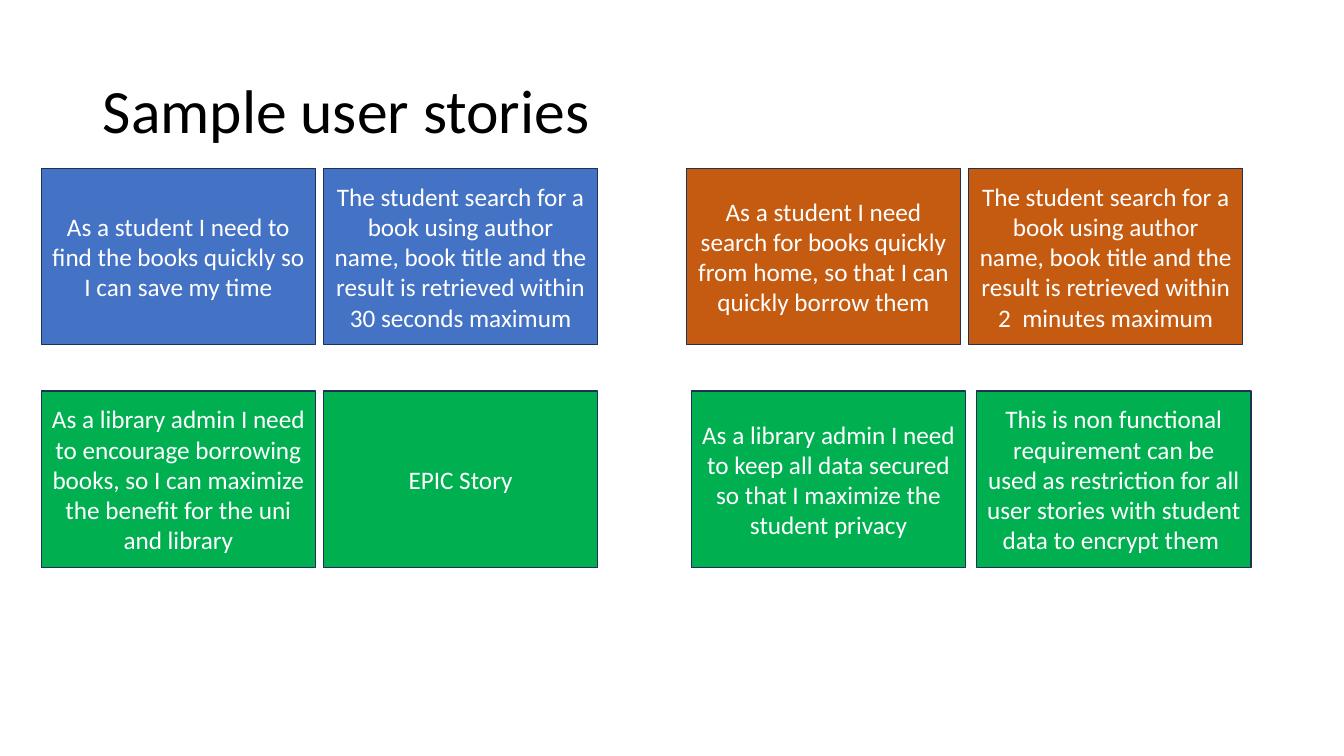
import pptx
import pptx.dml.color
import pptx.enum.shapes
import pptx.enum.text
import pptx.util

Pt = pptx.util.Pt
ALIGN = pptx.enum.text.PP_ALIGN

CARD_W, CARD_H = 195.8, 126
BLUE, ORANGE, GREEN = "4472C4", "C55A11", "00B050"

# Each pair: left, top, step to the second card, fill, story, note
PAIRS = [
    (29.5, 120.2, 201.6, BLUE,
     "As a student I need to find the books quickly so I can save my time",
     "The student search for a book using author name, book title and the "
     "result is retrieved within 30 seconds maximum"),
    (490.3, 120.2, 201.6, ORANGE,
     "As a student I need search for books quickly from home, so that I can "
     "quickly borrow them",
     "The student search for a book using author name, book title and the "
     "result is retrieved within 2  minutes maximum"),
    (29.5, 279.4, 201.6, GREEN,
     "As a library admin I need to encourage borrowing books, so I can "
     "maximize the benefit for the uni and library",
     "EPIC Story"),
    (493.9, 279.4, 203.8, GREEN,
     "As a library admin I need to keep all data secured so that I maximize "
     "the student privacy",
     "This is non functional requirement can be used as restriction for all "
     "user stories with student data to encrypt them "),
]


def rgb(color):
    return pptx.dml.color.RGBColor.from_string(color)


def write(sp, text, size=18, color="FFFFFF", align=ALIGN.CENTER, spacing=1.0):
    tf = sp.text_frame
    tf.word_wrap = True
    tf.auto_size = pptx.enum.text.MSO_AUTO_SIZE.NONE
    tf.vertical_anchor = pptx.enum.text.MSO_ANCHOR.MIDDLE
    p = tf.paragraphs[0]
    p.alignment = align
    p.line_spacing = spacing
    r = p.add_run()
    r.text = text
    r.font.name = "Calibri"
    r.font.size = Pt(size)
    r.font.color.rgb = rgb(color)


def add_title(s, text):
    sp = s.shapes.title
    sp.left, sp.top, sp.width, sp.height = Pt(66.2), Pt(28.8), Pt(828), Pt(104.4)
    write(sp, text, size=44, color="000000", align=ALIGN.LEFT, spacing=0.9)


def add_card(s, left, top, fill, text):
    sp = s.shapes.add_shape(pptx.enum.shapes.MSO_SHAPE.RECTANGLE,
                            Pt(left), Pt(top), Pt(CARD_W), Pt(CARD_H))
    sp.shadow.inherit = False
    sp.fill.solid()
    sp.fill.fore_color.rgb = rgb(fill)
    sp.line.color.rgb = rgb("1E3256")
    sp.line.width = Pt(1)
    write(sp, text)


def main():
    prs = pptx.Presentation()
    prs.slide_width, prs.slide_height = Pt(960), Pt(540)
    s = prs.slides.add_slide(prs.slide_layouts.get_by_name("Title Only"))

    add_title(s, "Sample user stories")

    # Story cards with their notes beside them
    for left, top, step, fill, story, note in PAIRS:
        add_card(s, left, top, fill, story)
        add_card(s, left + step, top, fill, note)

    prs.save("out.pptx")


if __name__ == "__main__":
    main()
